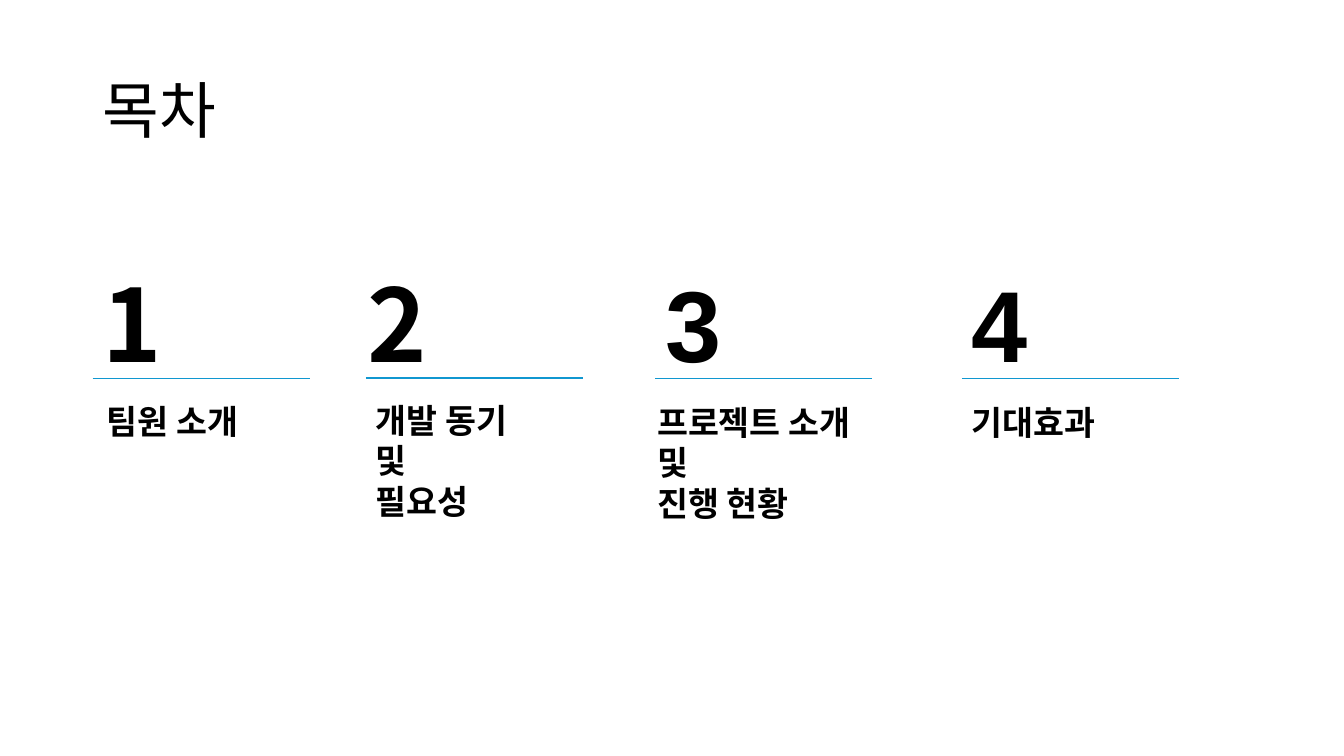
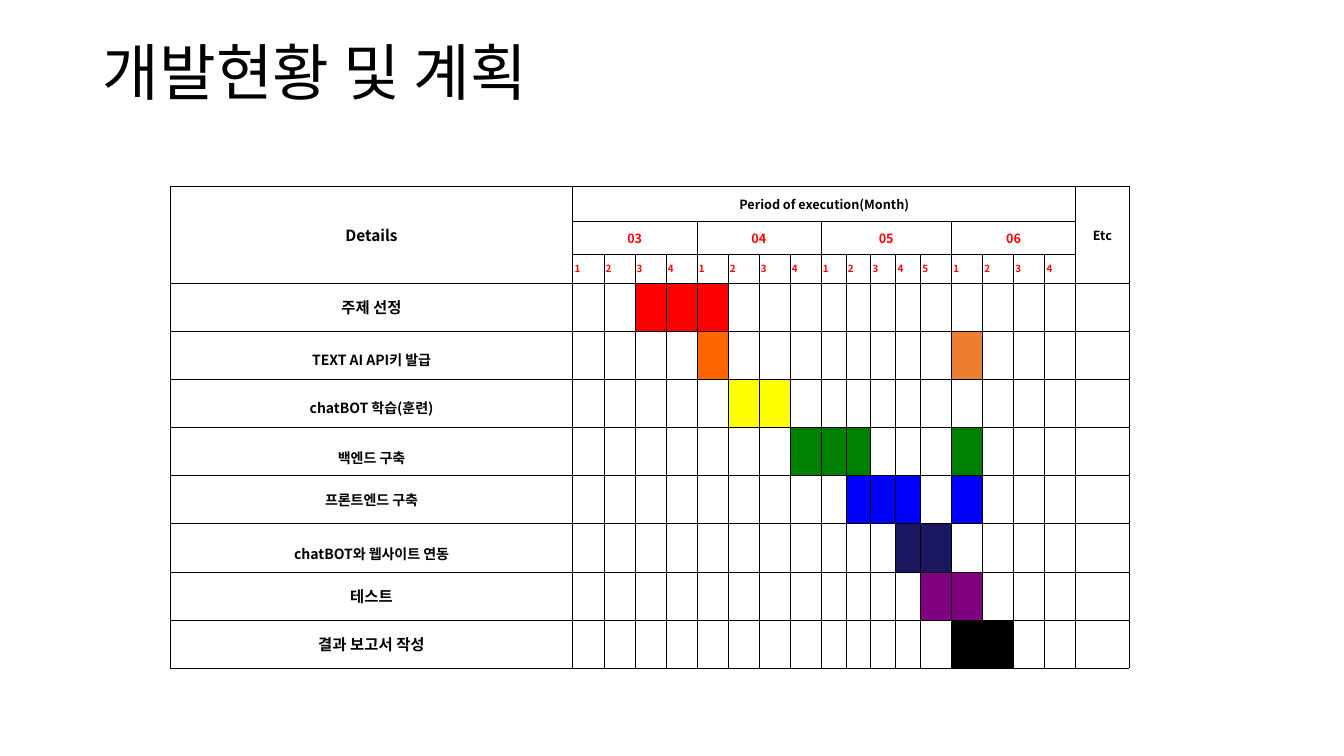
from lxml.etree import SubElement
from pptx import Presentation
from pptx.dml.color import RGBColor
from pptx.enum.shapes import MSO_CONNECTOR as Connector
from pptx.enum.text import MSO_ANCHOR as Anchor, PP_ALIGN as Align
from pptx.oxml.ns import qn
from pptx.util import Inches, Pt

SLIDE_WIDTH, SLIDE_HEIGHT = Inches(13.33), Inches(7.5)
BLACK, RED, RULE_BLUE = "000000", "FF0000", "1097D0"
NOTO, ARIAL, CALIBRI = "Noto Sans CJK KR", "Arial", "Calibri"

TITLE = {"name": NOTO, "size": Pt(44), "bold": False}
LABEL = {"name": CALIBRI, "size": Pt(24), "bold": True}

AGENDA = [
    {"number": ("1", NOTO, 6.9), "label": (["팀원 소개"], 7.2, 52.4), "rule": (6.9, 50.13)},
    {"number": ("2", NOTO, 26.63), "label": (["개발 동기", "및", "필요성"], 27.23, 52.27), "rule": (27.23, 50)},
    {"number": ("3", ARIAL, 48.76), "label": (["프로젝트 소개", "및", "진행 현황"], 48.16, 52.53), "rule": (48.76, 50.13)},
    {"number": ("4", ARIAL, 71.57), "label": (["기대효과"], 71.57, 52.53), "rule": (71.57, 50.13)},
]

MONTHS = [("03", 4), ("04", 4), ("05", 5), ("06", 4)]
NARROW_WEEKS = range(9, 13)
HEADER_ROWS = [4.6, 4.4, 3.73]

TASKS = [
    ("주제 선정", 11, 1, [(3, 5, RED)]),
    ("TEXT AI API키 발급", 10, 1.4, [(5, 5, "FF6600"), (14, 14, "ED7D31")]),
    ("chatBOT 학습(훈련)", 10, 1.4, [(6, 7, "FFFF00")]),
    ("백엔드 구축", 10, 1.6, [(8, 10, "008000"), (14, 14, "008000")]),
    ("프론트엔드 구축", 10, 1, [(10, 12, "0000FF"), (14, 14, "0000FF")]),
    ("chatBOT와 웹사이트 연동", 10, 1.6, [(12, 13, "1B1760")]),
    ("테스트", 11, 1, [(13, 14, "800080")]),
    ("결과 보고서 작성", 11, 1, [(14, 15, BLACK)]),
]


def across(percent):
    """Turn a percentage of the slide width into a length."""
    return int(SLIDE_WIDTH * percent / 100)


def down(percent):
    """Turn a percentage of the slide height into a length."""
    return int(SLIDE_HEIGHT * percent / 100)


def color(value):
    """Turn a hex string into a colour."""
    return RGBColor.from_string(value)


def apply(target, values):
    """Set each attribute named in a dict of format values."""
    for name, value in values.items():
        setattr(target, name, value)


def write(paragraph, text, font, ink=BLACK, layout=None):
    """Write one formatted run, with the same face for Hangul and Latin."""
    apply(paragraph, layout or {})
    run = paragraph.add_run()
    run.text = text
    apply(run.font, font)
    run.font.color.rgb = color(ink)
    SubElement(run.font._element, qn("a:ea"), typeface=font["name"])


def add_text(slide, lines, box, font, frame=None, layout=None):
    """Add a text box with one paragraph for each line."""
    left, top, width, height = box
    shape = slide.shapes.add_textbox(across(left), down(top), across(width), down(height))
    text_frame = shape.text_frame
    apply(text_frame, {"word_wrap": True, **(frame or {})})
    for index, line in enumerate(lines):
        paragraph = text_frame.add_paragraph() if index else text_frame.paragraphs[0]
        write(paragraph, line, font, layout=layout)


def add_title(slide, text, bottom_inset=0.05):
    """Add the slide title, raised by a larger bottom inset."""
    frame = {"vertical_anchor": Anchor.MIDDLE, "margin_bottom": Inches(bottom_inset)}
    add_text(slide, [text], (6.9, 5.33, 86.27, 19.33), TITLE, frame, {"line_spacing": 0.9})


def add_rule(slide, left, top):
    """Add the thin blue line under an agenda number."""
    y = down(top)
    rule = slide.shapes.add_connector(Connector.STRAIGHT, across(left), y, across(left + 16.13), y)
    rule.line.color.rgb = color(RULE_BLUE)
    rule.line.width = Pt(0.75)
    SubElement(rule._element.spPr, qn("a:effectLst"))


def add_agenda_item(slide, item):
    """Add a number, its rule and its label."""
    number, face, left = item["number"]
    font = {"name": face, "size": Pt(72), "bold": True}
    add_text(slide, [number], (left, 34, 5.7, 17.47), font)
    add_rule(slide, *item["rule"])
    lines, left, top = item["label"]
    add_text(slide, lines, (left, top, 18, 6.67 * len(lines)), LABEL)


def style_cell(cell):
    """Give a cell thin black borders, small margins and no fill."""
    sides = ("left", "right", "top", "bottom")
    apply(cell, {f"margin_{side}": Inches(0.02) for side in sides})
    cell.vertical_anchor = Anchor.MIDDLE
    properties = cell._tc.get_or_add_tcPr()
    for side in ("L", "R", "T", "B"):
        border = SubElement(properties, qn(f"a:ln{side}"), w=str(Pt(0.28)))
        fill = SubElement(border, qn("a:solidFill"))
        SubElement(fill, qn("a:srgbClr"), val=BLACK)
    cell.fill.background()


def write_cell(cell, text, size, ink=BLACK, align=Align.CENTER, spacing=1):
    """Write bold text into a table cell."""
    font = {"name": NOTO, "size": Pt(size), "bold": True}
    layout = {"alignment": align, "line_spacing": spacing}
    write(cell.text_frame.paragraphs[0], text, font, ink, layout)


def fill_header(table, last):
    """Merge and label the three header rows."""
    blocks = [("Details", 11, 0, 0, 2, 0), ("Period of execution(Month)", 9, 0, 1, 0, last - 1),
              ("Etc", 9, 0, last, 2, last)]
    for text, size, top, left, bottom, right in blocks:
        table.cell(top, left).merge(table.cell(bottom, right))
        write_cell(table.cell(top, left), text, size)
    first = 1
    for month, weeks in MONTHS:
        table.cell(1, first).merge(table.cell(1, first + weeks - 1))
        write_cell(table.cell(1, first), month, 9, RED)
        for week in range(weeks):
            write_cell(table.cell(2, first + week), str(week + 1), 7, RED, Align.JUSTIFY)
        first += weeks


def fill_tasks(table):
    """Label each task row and colour its weeks."""
    for row, (name, size, spacing, spans) in enumerate(TASKS, len(HEADER_ROWS)):
        write_cell(table.cell(row, 0), name, size, spacing=spacing)
        for start, end, shade in spans:
            for week in range(start, end + 1):
                cell = table.cell(row, week)
                cell.fill.solid()
                cell.fill.fore_color.rgb = color(shade)


def add_schedule(slide):
    """Add the schedule table with a column for each week."""
    weeks = sum(count for _, count in MONTHS)
    width, height, details, etc, narrow = 71.34, 63.73, 29.93, 3.98, 1.85
    wide = (width - details - etc - narrow * len(NARROW_WEEKS)) / (weeks - len(NARROW_WEEKS))
    columns = [details, *(narrow if week in NARROW_WEEKS else wide for week in range(1, weeks + 1)), etc]
    rows = HEADER_ROWS + [(height - sum(HEADER_ROWS)) / len(TASKS)] * len(TASKS)
    table = slide.shapes.add_table(len(rows), len(columns), across(12.68), down(24.67),
                                   across(width), down(height)).table
    apply(table, {"first_row": False, "horz_banding": False})
    for column, share in zip(table.columns, columns):
        column.width = across(share)
    for row, share in zip(table.rows, rows):
        row.height = down(share)
    for cell in table.iter_cells():
        style_cell(cell)
    fill_header(table, weeks + 1)
    fill_tasks(table)


def main():
    """Build the agenda and schedule slides."""
    presentation = Presentation()
    apply(presentation, {"slide_width": SLIDE_WIDTH, "slide_height": SLIDE_HEIGHT})
    blank = presentation.slide_layouts[6]
    agenda = presentation.slides.add_slide(blank)
    add_title(agenda, "목차")
    for item in AGENDA:
        add_agenda_item(agenda, item)
    schedule = presentation.slides.add_slide(blank)
    add_title(schedule, "개발현황 및 계획", bottom_inset=0.79)
    add_schedule(schedule)
    presentation.save("out.pptx")


if __name__ == "__main__":
    main()
